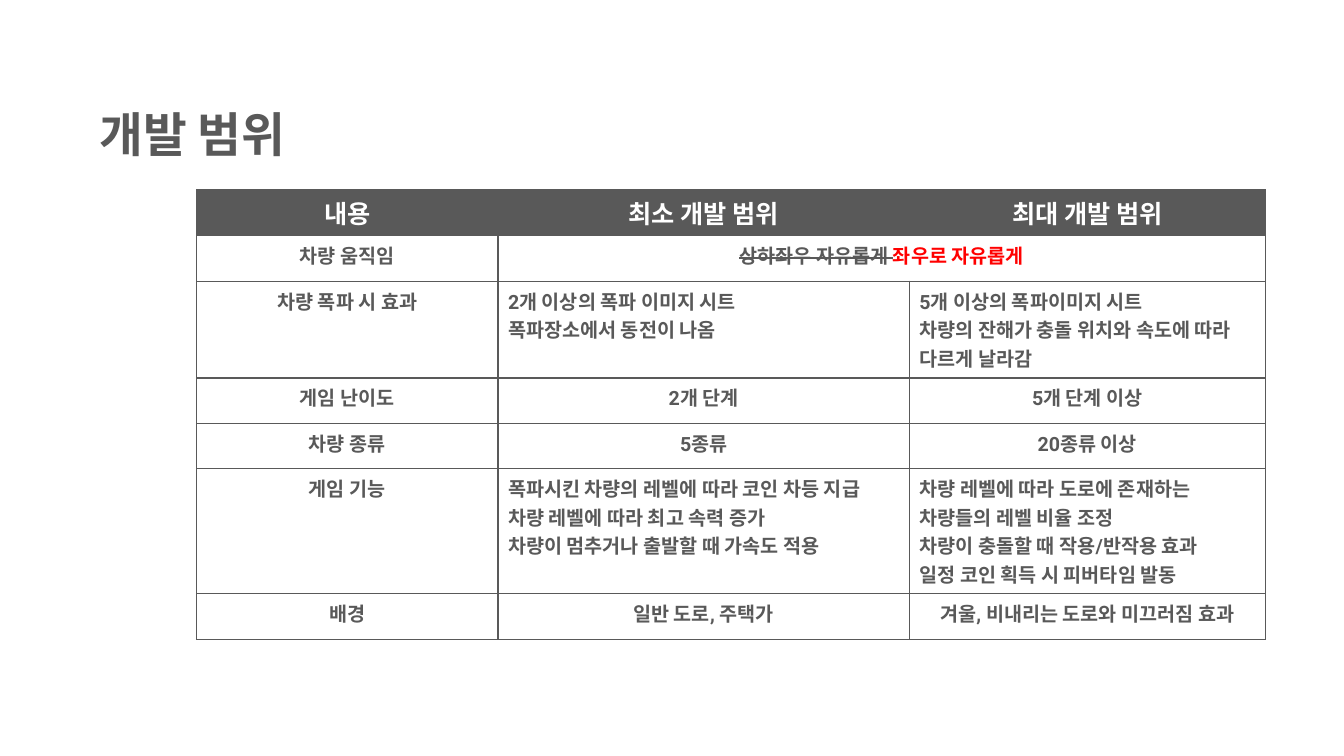
from lxml.etree import SubElement
from pptx import Presentation
from pptx.dml.color import RGBColor
from pptx.enum.text import MSO_ANCHOR, PP_ALIGN
from pptx.oxml.ns import qn
from pptx.util import Inches, Pt

GRAY = RGBColor(0x59, 0x59, 0x59)
WHITE = RGBColor(0xFF, 0xFF, 0xFF)
RED = RGBColor(0xFF, 0x00, 0x00)
KOREAN_FONT = "Noto Sans CJK KR"
LATIN_FONT = "Roboto"

COLUMN_WIDTHS = [2.99, 4.08, 3.53]
ROW_HEIGHTS = [0.46, 0.45, 0.96, 0.45, 0.45, 1.24, 0.45]
INNER_LINE, OUTER_LINE = 1, 0.5

MOVEMENT_DROPPED = "상하좌우 자유롭게 "
MOVEMENT_KEPT = "좌우로 자유롭게"
MOVEMENT_ROW = 1

# Each cell is a list of paragraphs; several paragraphs are left aligned.
SCOPE_ROWS = [
    [["내용"], ["최소 개발 범위"], ["최대 개발 범위"]],
    [["차량 움직임"]],
    [["차량 폭파 시 효과"],
     ["2개 이상의 폭파 이미지 시트", "폭파장소에서 동전이 나옴"],
     ["5개 이상의 폭파이미지 시트",
      "차량의 잔해가 충돌 위치와 속도에 따라 다르게 날라감"]],
    [["게임 난이도"], ["2개 단계"], ["5개 단계 이상"]],
    [["차량 종류"], ["5종류"], ["20종류 이상"]],
    [["게임 기능"],
     ["폭파시킨 차량의 레벨에 따라 코인 차등 지급",
      "차량 레벨에 따라 최고 속력 증가",
      "차량이 멈추거나 출발할 때 가속도 적용"],
     ["차량 레벨에 따라 도로에 존재하는 차량들의 레벨 비율 조정",
      "차량이 충돌할 때 작용/반작용 효과",
      "일정 코인 획득 시 피버타임 발동"]],
    [["배경"], ["일반 도로, 주택가"], ["겨울, 비내리는 도로와 미끄러짐 효과"]],
]


def style_paragraph(paragraph, size, color, latin=LATIN_FONT):
    font = paragraph.font
    font.size, font.bold, font.name = Pt(size), True, latin
    font.color.rgb = color
    properties = paragraph._p.get_or_add_pPr().find(qn("a:defRPr"))
    SubElement(properties, qn("a:ea"), typeface=KOREAN_FONT)


def add_title(slide, left, top, width, height):
    title = slide.shapes.add_textbox(left, top, width, height).text_frame
    title.word_wrap = True
    title.vertical_anchor = MSO_ANCHOR.BOTTOM
    paragraph = title.paragraphs[0]
    paragraph.text = "개발 범위"
    paragraph.line_spacing = 0.9
    style_paragraph(paragraph, 34, GRAY, KOREAN_FONT)


def draw_borders(cell, row, column):
    """Outline a cell, with thinner lines along the edge of the table."""
    on_edge = {
        "L": column == 0,
        "R": column == len(COLUMN_WIDTHS) - 1,
        "T": row == 0,
        "B": row == len(ROW_HEIGHTS) - 1,
    }
    for side, is_outer in on_edge.items():
        width = Pt(OUTER_LINE if is_outer else INNER_LINE)
        line = SubElement(cell._tc.get_or_add_tcPr(), qn(f"a:ln{side}"), w=str(width))
        fill = SubElement(line, qn("a:solidFill"))
        SubElement(fill, qn("a:srgbClr"), val=str(GRAY))


def fill_cell(cell, lines, is_header):
    cell.text = "\n".join(lines)
    for paragraph in cell.text_frame.paragraphs:
        paragraph.alignment = PP_ALIGN.CENTER if len(lines) == 1 else PP_ALIGN.LEFT
        style_paragraph(paragraph, 18 if is_header else 14, WHITE if is_header else GRAY)


def fill_movement_cell(cell):
    """Show the dropped movement struck out, followed by the kept one in red."""
    fill_cell(cell, [MOVEMENT_DROPPED], False)
    paragraph = cell.text_frame.paragraphs[0]
    paragraph.runs[0]._r.get_or_add_rPr().set("strike", "sngStrike")
    kept = paragraph.add_run()
    kept.text = MOVEMENT_KEPT
    kept.font.color.rgb = RED


def add_scope_table(slide, left, top, width, height):
    table = slide.shapes.add_table(
        len(ROW_HEIGHTS), len(COLUMN_WIDTHS), left, top, width, height).table
    for column, share in zip(table.columns, COLUMN_WIDTHS):
        column.width = int(width * share / sum(COLUMN_WIDTHS))
    for row, share in zip(table.rows, ROW_HEIGHTS):
        row.height = int(height * share / sum(ROW_HEIGHTS))
    for r in range(len(ROW_HEIGHTS)):
        for c in range(len(COLUMN_WIDTHS)):
            cell = table.cell(r, c)
            draw_borders(cell, r, c)
            cell.fill.solid()
            cell.fill.fore_color.rgb = GRAY if r == 0 else WHITE
    for r, scope_row in enumerate(SCOPE_ROWS):
        for c, lines in enumerate(scope_row):
            fill_cell(table.cell(r, c), lines, r == 0)
    movement = table.cell(MOVEMENT_ROW, 1)
    movement.merge(table.cell(MOVEMENT_ROW, 2))
    fill_movement_cell(movement)


def main():
    presentation = Presentation()
    presentation.slide_width = Inches(13.33)
    presentation.slide_height = Inches(7.5)
    slide = presentation.slides.add_slide(presentation.slide_layouts[6])
    add_title(slide, Inches(0.89), Inches(0.35), Inches(10.25), Inches(1.31))
    add_scope_table(slide, Inches(1.95), Inches(1.88), Inches(10.6), Inches(4.46))
    presentation.save("out.pptx")


if __name__ == "__main__":
    main()
